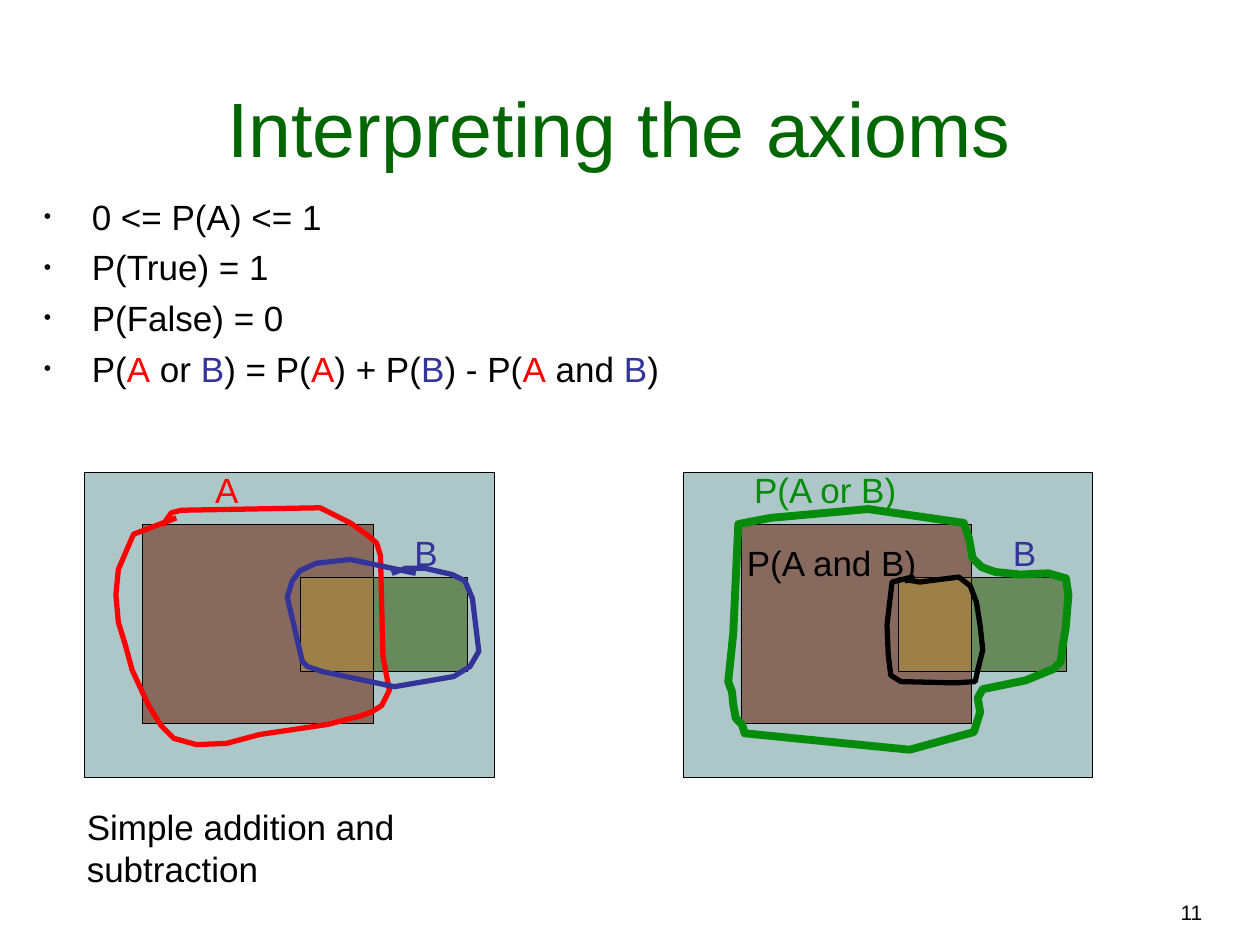
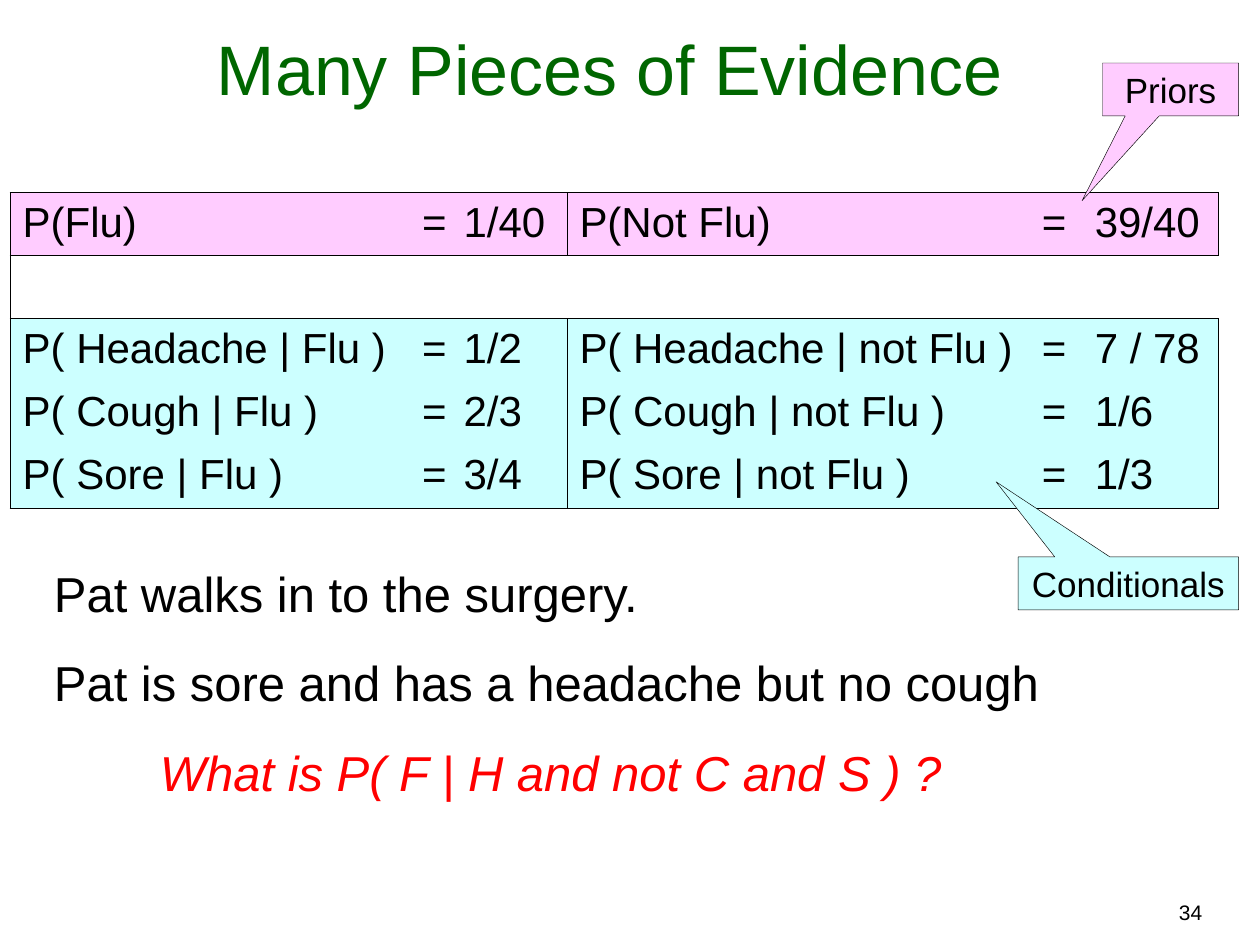
from lxml.etree import SubElement
from pptx import Presentation
from pptx.dml.color import RGBColor
from pptx.enum.shapes import MSO_SHAPE
from pptx.enum.text import MSO_ANCHOR, MSO_AUTO_SIZE, PP_ALIGN
from pptx.oxml.ns import qn
from pptx.util import Inches, Pt

BLACK, RED, BLUE, GREEN = "000000", "FF0000", "333399", "048C0A"
TITLE_GREEN = "006600"
PANEL, EVENT_A, EVENT_B, OVERLAP = "ADC6C7", "876A5D", "67895B", "9D8047"
PRIOR, CONDITIONAL, WHITE = "FFCCFF", "CCFFFF", "FFFFFF"

LOOP_A = [
    (1.4, 4.11), (1.06, 4.24), (0.94, 4.52), (0.92, 4.72), (0.94, 4.94),
    (0.99, 5.1), (1.05, 5.32), (1.18, 5.6), (1.28, 5.76), (1.38, 5.86),
    (1.56, 5.91), (1.8, 5.9), (2.06, 5.83), (2.6, 5.75), (2.87, 5.68),
    (2.95, 5.65), (3.03, 5.6), (3.09, 5.48), (3.04, 5.21), (3.02, 4.41),
    (2.99, 4.31), (2.92, 4.25), (2.78, 4.15), (2.54, 4.03), (1.44, 4.05),
    (1.36, 4.07), (1.29, 4.17)]
LOOP_B = [
    (3.3, 4.55), (2.78, 4.44), (2.51, 4.47), (2.38, 4.53), (2.32, 4.61),
    (2.28, 4.74), (2.4, 5.25), (2.44, 5.29), (2.56, 5.33), (3.13, 5.45),
    (3.6, 5.37), (3.73, 5.29), (3.8, 5.17), (3.75, 4.75), (3.69, 4.61),
    (3.59, 4.56), (3.37, 4.51), (3.22, 4.51), (3.11, 4.55)]
LOOP_A_OR_B = [
    (5.82, 5.59), (5.81, 5.49), (5.78, 5.41), (5.82, 5.03), (5.86, 4.16),
    (5.96, 4.14), (6.12, 4.11), (6.89, 4.04), (7.65, 4.15), (7.69, 4.27),
    (7.72, 4.43), (7.79, 4.5), (7.9, 4.54), (8.1, 4.56), (8.32, 4.55),
    (8.46, 4.59), (8.48, 4.72), (8.46, 4.97), (8.43, 5.16), (8.42, 5.25),
    (8.36, 5.31), (8.14, 5.4), (7.8, 5.47), (7.76, 5.54), (7.78, 5.65),
    (7.73, 5.81), (7.22, 5.95), (6.51, 5.88), (5.91, 5.82), (5.89, 5.75),
    (5.84, 5.7)]
LOOP_A_AND_B = [
    (7.24, 4.58), (7.08, 4.62), (7.04, 4.96), (7.05, 5.2), (7.07, 5.36),
    (7.15, 5.41), (7.58, 5.42), (7.74, 5.41), (7.76, 5.32), (7.8, 5.16),
    (7.78, 4.97), (7.75, 4.78), (7.7, 4.65), (7.61, 4.58), (7.3, 4.62),
    (7.18, 4.6)]


def rgb(value):
    return RGBColor.from_string(value)


def set_all(target, values):
    for name, value in values.items():
        setattr(target, name, value)


class Deck:
    FONT = {"name": "Arial", "bold": False}
    THIN = 0.25
    TABLE_LINE = 0.45

    def __init__(self):
        self.prs = Presentation()
        self.prs.slide_width, self.prs.slide_height = Inches(10), Inches(7.5)

    def new_slide(self, title, number, title_height, title_size):
        self.slide = self.prs.slides.add_slide(self.prs.slide_layouts[6])
        self.text((5.72, 7.09, 3.92, 0.3), [number], 12, align=PP_ALIGN.RIGHT)
        self.text((0.25, 0.25, 9.33, title_height), [title], title_size,
                  TITLE_GREEN, PP_ALIGN.CENTER, grow=False,
                  anchor=MSO_ANCHOR.BOTTOM)

    def add_run(self, p, text, size, color=BLACK, **extra):
        r = p.add_run()
        r.text = text
        set_all(r.font, {**self.FONT, "size": Pt(size), **extra})
        r.font.color.rgb = rgb(color)

    def text(self, box, paragraphs, size, color=BLACK, align=PP_ALIGN.LEFT,
             gap=0, grow=True, wrap=True, bullets=False, anchor=MSO_ANCHOR.TOP):
        """Add paragraphs, each a string or a list of (text, color) runs."""
        tf = self.slide.shapes.add_textbox(*map(Inches, box)).text_frame
        set_all(tf, {
            "word_wrap": wrap, "vertical_anchor": anchor,
            "auto_size": (MSO_AUTO_SIZE.SHAPE_TO_FIT_TEXT if grow
                          else MSO_AUTO_SIZE.NONE)})
        for i, runs in enumerate(paragraphs):
            p = tf.add_paragraph() if i else tf.paragraphs[0]
            set_all(p, {"alignment": align, "space_before": Pt(gap if i else 0)})
            if bullets:
                self.bullet(p)
            for words, tint in [(runs, color)] if isinstance(runs, str) else runs:
                self.add_run(p, words, size, tint)
        return tf

    def bullet(self, p):
        pPr = p._p.get_or_add_pPr()
        pPr.set("marL", str(Inches(0.38)))
        pPr.set("indent", str(Inches(-0.38)))
        SubElement(SubElement(pPr, qn("a:buClr")), qn("a:srgbClr"), val=BLACK)
        SubElement(pPr, qn("a:buSzPct"), val="60000")
        SubElement(pPr, qn("a:buFont"), typeface="Arial")
        SubElement(pPr, qn("a:buChar"), char="•")

    def label(self, box, words, color=BLACK, align=PP_ALIGN.CENTER):
        self.text(box, [words], 20, color, align, wrap=False)

    def shape(self, kind, box, fill):
        sp = self.slide.shapes.add_shape(kind, *map(Inches, box))
        sp.shadow.inherit = False
        sp.fill.solid()
        sp.fill.fore_color.rgb = rgb(fill)
        self.outline(sp, BLACK, self.THIN)
        return sp

    def outline(self, sp, color, width):
        sp.line.color.rgb = rgb(color)
        sp.line.width = Pt(width)

    def callout(self, box, words, fill, tip):
        sp = self.shape(MSO_SHAPE.RECTANGULAR_CALLOUT, box, fill)
        sp.adjustments[0], sp.adjustments[1] = tip
        tf = sp.text_frame
        set_all(tf, {"word_wrap": True, "vertical_anchor": MSO_ANCHOR.MIDDLE})
        p = tf.paragraphs[0]
        p.alignment = PP_ALIGN.CENTER
        self.add_run(p, words, 20)

    def loop(self, points, color, width=3, close=False):
        """Draw a hand-drawn outline through the points."""
        start, *rest = [(Inches(x), Inches(y)) for x, y in points]
        builder = self.slide.shapes.build_freeform(*start)
        builder.add_line_segments(rest, close=close)
        sp = builder.convert_to_shape()
        sp.shadow.inherit = False
        sp.fill.background()
        self.outline(sp, color, width)

    def venn(self, left):
        for dx, top, width, height, fill in [
                (0, 3.75, 3.25, 2.42, PANEL), (0.46, 4.16, 1.83, 1.58, EVENT_A),
                (1.71, 4.58, 1.33, 0.75, EVENT_B),
                (1.71, 4.58, 0.58, 0.75, OVERLAP)]:
            self.shape(MSO_SHAPE.RECTANGLE, (left + dx, top, width, height), fill)

    def cell_borders(self, cell, sides):
        """Draw the named sides (from "LRTB") and clear the others."""
        tcPr = cell._tc.get_or_add_tcPr()
        for side in "LRTB":
            ln = SubElement(tcPr, qn(f"a:ln{side}"), w=str(Pt(self.TABLE_LINE)))
            if side in sides:
                fill = SubElement(ln, qn("a:solidFill"))
                SubElement(fill, qn("a:srgbClr"), val=BLACK)
            else:
                SubElement(ln, qn("a:noFill"))

    def evidence_table(self, box, widths, rows, fills, blocks):
        """Frame each block of rows, split in two halves where it has text."""
        frame = self.slide.shapes.add_table(len(rows), len(widths),
                                            *map(Inches, box))
        table = frame.table
        set_all(table, {"first_row": False, "horz_banding": False})
        for column, width in zip(table.columns, widths):
            column.width = Inches(width)
        last = len(widths) - 1
        for i, row in enumerate(rows):
            half = len(widths) // 2 if row else len(widths)
            for j in range(len(widths)):
                cell = table.cell(i, j)
                edges = {"L": j % half == 0, "R": j % half == half - 1,
                         "T": any(i == first for first, _ in blocks),
                         "B": any(i == end for _, end in blocks)}
                self.cell_borders(cell, [s for s, on in edges.items() if on])
                cell.fill.solid()
                cell.fill.fore_color.rgb = rgb(fills[i])
                if row:
                    self.add_run(cell.text_frame.paragraphs[0], row[j], 24)
            if not row:
                table.cell(i, 0).merge(table.cell(i, last))


def axioms_slide(deck):
    deck.new_slide("Interpreting the axioms", "11", 1.17, 44)
    a, b = ("A", RED), ("B", BLUE)
    addition_rule = [
        ("P(", BLACK), a, (" or ", BLACK), b, (") = P(", BLACK), a,
        (") + P(", BLACK), b, (") - P(", BLACK), a, (" and ", BLACK), b,
        (")", BLACK)]
    deck.text((0.25, 1.5, 5.42, 1.75),
              ["0 <= P(A) <= 1", "P(True) = 1", "P(False) = 0", addition_rule],
              20, gap=5, grow=False, bullets=True)

    deck.venn(0.67)
    deck.loop(LOOP_A, RED)
    deck.label((1.61, 3.67, 0.38, 0.44), "A", RED)
    deck.loop(LOOP_B, BLUE)
    deck.label((3.19, 4.17, 0.38, 0.44), "B", BLUE)

    deck.venn(5.42)
    deck.label((5.88, 3.67, 1.34, 0.44), "P(A or B)", GREEN)
    deck.label((7.94, 4.17, 0.38, 0.44), "B", BLUE)
    deck.loop(LOOP_A_OR_B, GREEN, 4.5, close=True)
    deck.loop(LOOP_A_AND_B, BLACK, close=True)
    deck.label((5.82, 4.25, 1.56, 0.44), "P(A and B)")
    deck.label((0.59, 6.34, 4.08, 0.44), "Simple addition and subtraction",
               align=PP_ALIGN.LEFT)


def evidence_slide(deck):
    deck.new_slide("Many Pieces of Evidence ", "34", 0.67, 40)
    rows = [("P(Flu)", "=", "1/40", "P(Not Flu)", "=", "39/40"), None]
    for symptom, flu, not_flu in [("Headache", "1/2", "7 / 78"),
                                  ("Cough", "2/3", "1/6"),
                                  ("Sore", "3/4", "1/3")]:
        rows.append((f"P( {symptom} | Flu )", "=", flu,
                     f"P( {symptom} | not Flu )", "=", not_flu))
    deck.evidence_table((0.08, 1.53, 9.59, 2.5),
                        [3.17, 0.33, 0.92, 3.67, 0.42, 1.08], rows,
                        [PRIOR, WHITE] + [CONDITIONAL] * 3,
                        [(0, 0), (1, 1), (2, 4)])
    tf = deck.text((0.33, 4.42, 8.08, 1.99), [
        "Pat walks in to the surgery.",
        "Pat is sore and has a headache but no cough",
        [("What is P( F | H and not C and S ) ?", RED)]], 28, gap=17.5)
    question = tf.paragraphs[-1]
    question.alignment = PP_ALIGN.CENTER
    question.runs[0].font.italic = True
    deck.callout((8.75, 0.5, 1.08, 0.42), "Priors", PRIOR, (-0.65, 2.1))
    deck.callout((8.08, 4.42, 1.75, 0.42), "Conditionals", CONDITIONAL,
                 (-0.6, -1.92))


def main():
    deck = Deck()
    axioms_slide(deck)
    evidence_slide(deck)
    deck.prs.save("out.pptx")


if __name__ == "__main__":
    main()
